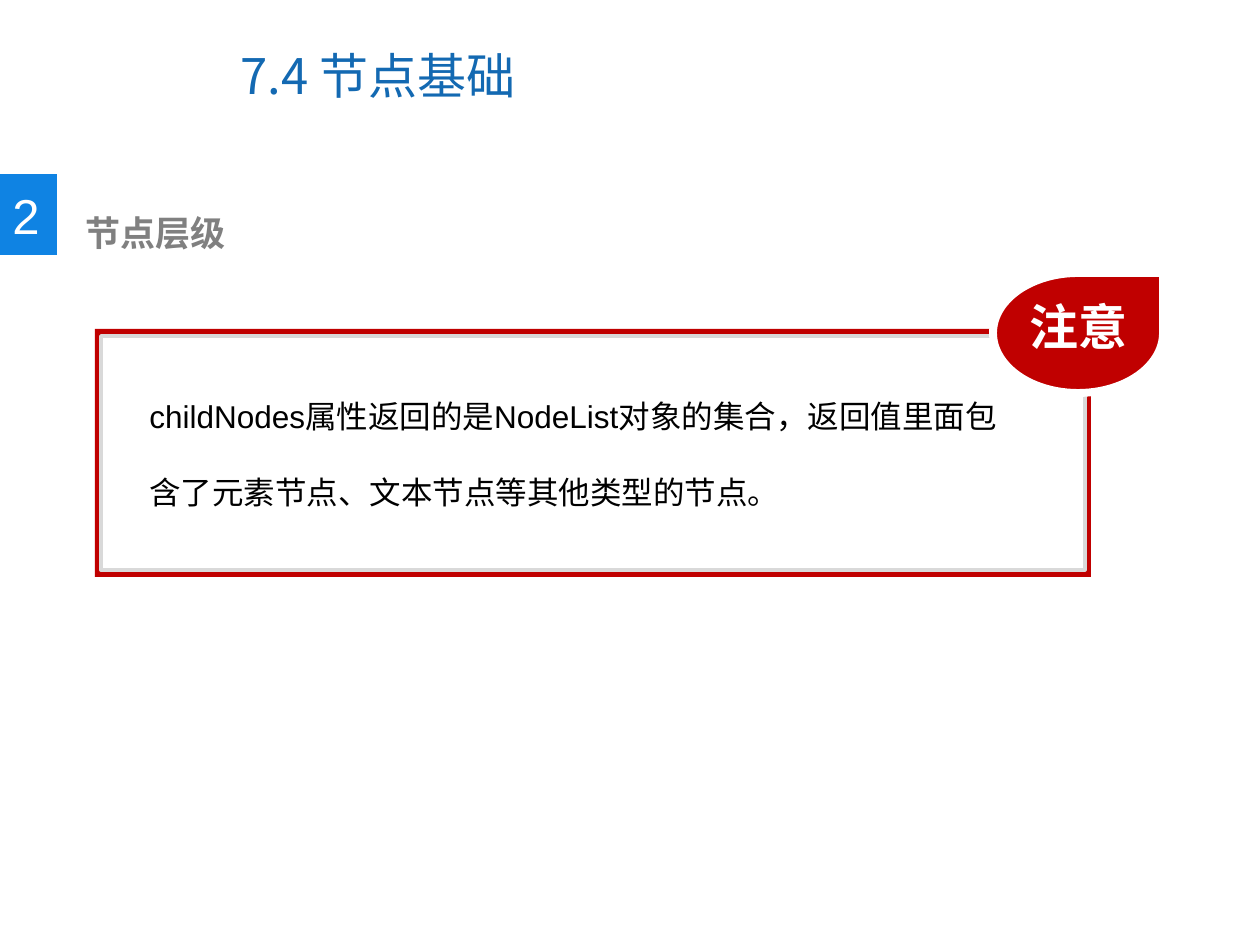
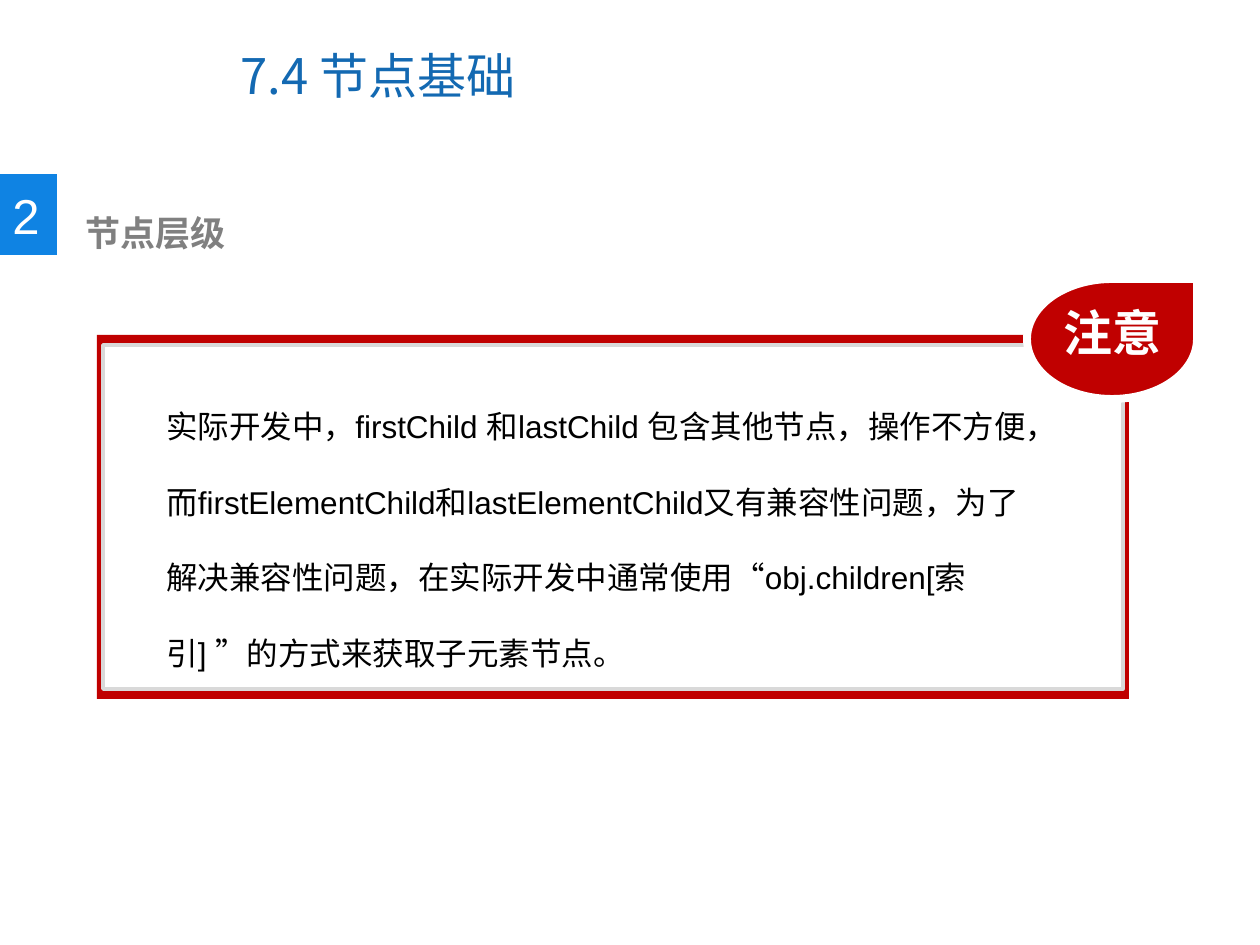
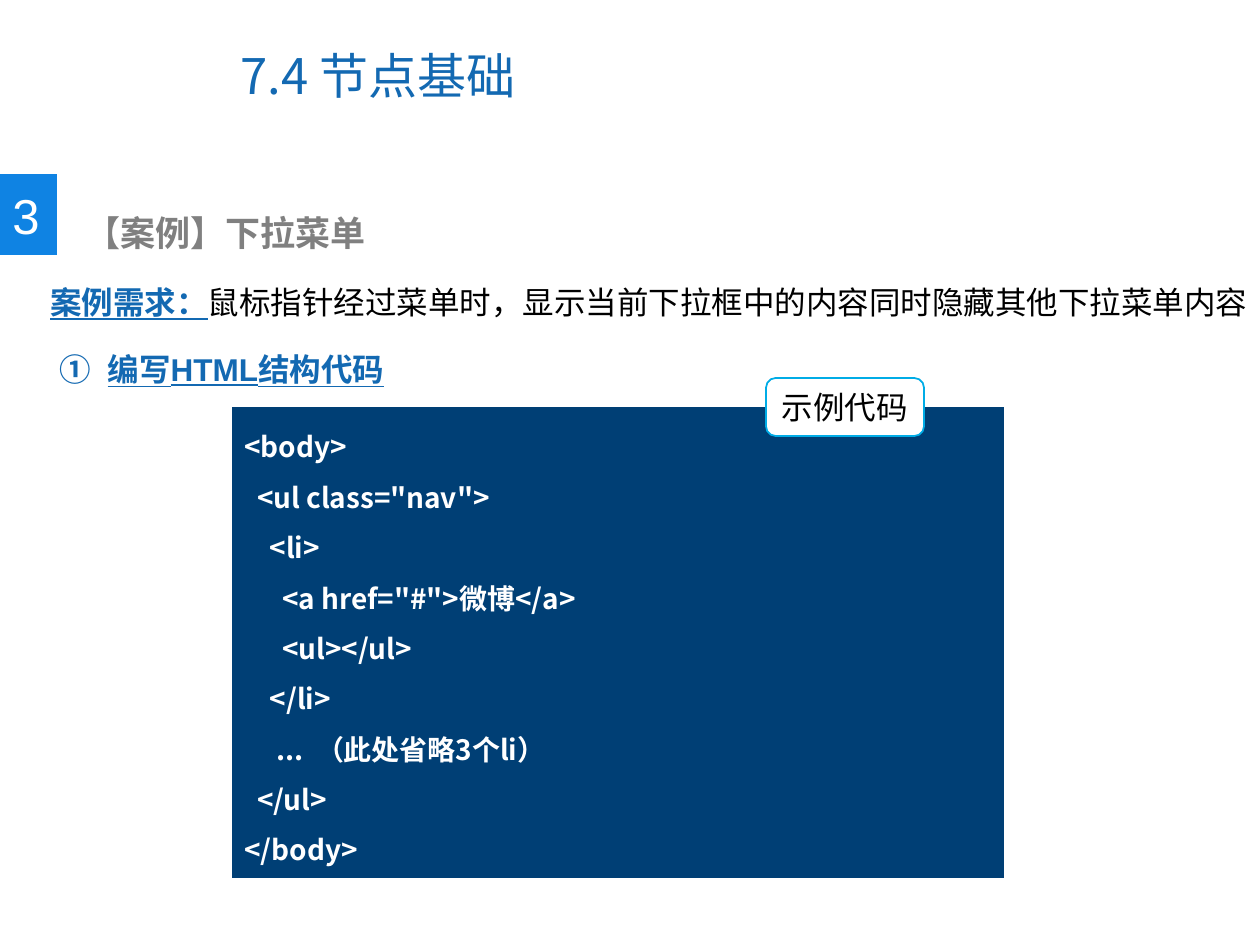
"""Build three slides on DOM node basics."""
from lxml.etree import SubElement
from pptx import Presentation
from pptx.dml.color import RGBColor
from pptx.enum.shapes import MSO_SHAPE as Shape
from pptx.enum.text import MSO_ANCHOR as Anchor, MSO_AUTO_SIZE as AutoSize, PP_ALIGN as Align
from pptx.oxml.ns import qn
from pptx.util import Emu, Pt

PX_PER_INCH = 126
CJK_FONT = "Noto Sans CJK SC"
LATIN_FONT = "Arial"
TITLE_ONLY, TITLE_AND_BODY = 5, 1
COLORS = {
    "title": "1369B2",
    "number": "0F83E3",
    "section": "808080",
    "notice": "C00000",
    "frame": "D9D9D9",
    "code": "003F75",
    "label": "00ACE6",
    "black": "000000",
    "white": "FFFFFF",
}
CODE_LINES = [
    '<body>',
    '  <ul class="nav">',
    '    <li>',
    '      <a href="#">微博</a>',
    '      <ul></ul>',
    '    </li>',
    '     ...  （此处省略3个li）',
    '  </ul>',
    '</body>',
]


def px(length):
    """Turn pixels into EMU."""
    return Emu(round(length * 914400 / PX_PER_INCH))


def color(name):
    """Look up a named colour."""
    return RGBColor.from_string(COLORS[name])


def place(shape, box):
    """Move and size a shape to a pixel box."""
    shape.left, shape.top, shape.width, shape.height = map(px, box)


def add_run(paragraph, text, size, color_name, bold=False, underline=False, font=LATIN_FONT):
    """Add one formatted run to a paragraph."""
    run = paragraph.add_run()
    run.text = text
    run.font.size = Pt(size)
    run.font.bold = bold
    run.font.underline = underline
    run.font.color.rgb = color(color_name)
    run.font.name = font
    SubElement(run.font._element, qn("a:ea"), typeface=CJK_FONT)


def set_up_frame(shape, anchor=Anchor.TOP, wrap=True):
    """Prepare a text frame and return its first paragraph."""
    frame = shape.text_frame
    frame.auto_size = AutoSize.NONE
    frame.word_wrap = wrap
    frame.vertical_anchor = anchor
    paragraph = frame.paragraphs[0]
    paragraph.alignment = Align.LEFT
    paragraph.space_before = Pt(0)
    return paragraph


def add_text(slide, box, wrap=True, spacing=1.0):
    """Add a text box and return its first paragraph."""
    paragraph = set_up_frame(slide.shapes.add_textbox(*map(px, box)), wrap=wrap)
    paragraph.line_spacing = spacing
    return paragraph


def add_block(slide, kind, box, fill, line=None, line_width=1):
    """Add a filled preset shape with an optional outline."""
    shape = slide.shapes.add_shape(kind, *map(px, box))
    shape.shadow.inherit = False
    shape.fill.solid()
    shape.fill.fore_color.rgb = color(fill)
    if line:
        shape.line.color.rgb = color(line)
        shape.line.width = Pt(line_width)
    else:
        shape.line.fill.background()
    return shape


def add_section_slide(presentation, number, section, layout=TITLE_ONLY):
    """Add a slide with the chapter title, section number and section name."""
    slide = presentation.slides.add_slide(presentation.slide_layouts[layout])
    title = slide.shapes.title
    place(title, (228, 21, 650, 107))
    add_run(set_up_frame(title, Anchor.MIDDLE), "7.4 节点基础", 28, "title", font=CJK_FONT)
    add_block(slide, Shape.RECTANGLE, (0, 174, 57, 81), "number")
    add_run(add_text(slide, (0, 179, 53, 72), wrap=False), number, 28, "white")
    add_run(add_text(slide, (73, 205, 634, 55)), section, 20, "section", bold=True)
    return slide


def add_notice(slide, box, border, badge, text_box, text):
    """Add a framed notice with a teardrop badge."""
    left, top, width, height = box
    side, edge = border
    inner = (left + side, top + edge, width - 2 * side, height - 2 * edge)
    add_block(slide, Shape.RECTANGLE, box, "notice")
    add_block(slide, Shape.RECTANGLE, inner, "white", "frame", 2)
    x, y = badge
    add_block(slide, Shape.TEAR, (x, y, 170, 120), "notice", "white", 4.5)
    label = add_text(slide, (x + 24, y + 17, 125, 72), wrap=False)
    add_run(label, "注意", 28, "white", bold=True, font=CJK_FONT)
    add_run(add_text(slide, text_box, spacing=2.0), text, 18, "black")


def add_code(slide, box, lines):
    """Add a dark panel of code lines."""
    panel = add_block(slide, Shape.RECTANGLE, box, "code")
    paragraph = set_up_frame(panel)
    for index, line in enumerate(lines):
        if index:
            paragraph = panel.text_frame.add_paragraph()
            paragraph.alignment = Align.LEFT
        paragraph.line_spacing = 1.5
        add_run(paragraph, line, 16, "white", bold=True, font=CJK_FONT)


def add_code_label(slide, box, text):
    """Add a rounded label for a code panel."""
    label = add_block(slide, Shape.ROUNDED_RECTANGLE, box, "white", "label")
    paragraph = set_up_frame(label, Anchor.MIDDLE, wrap=False)
    paragraph.alignment = Align.CENTER
    add_run(paragraph, text, 18, "black")


def fill_step(slide, box, text):
    """Put a circled numbered step in the body placeholder."""
    body = slide.placeholders[1]
    place(body, box)
    paragraph = set_up_frame(body)
    paragraph.line_spacing = 2.0
    properties = paragraph._p.get_or_add_pPr()
    properties.set("marL", str(px(48)))
    properties.set("indent", str(-px(48)))
    SubElement(properties, qn("a:buFont"), typeface=LATIN_FONT)
    SubElement(properties, qn("a:buAutoNum"), type="circleNumDbPlain")
    add_run(paragraph, text, 18, "title", bold=True, underline=True)


def main():
    """Build and save the presentation."""
    presentation = Presentation()
    presentation.slide_width, presentation.slide_height = px(1260), px(945)

    slide = add_section_slide(presentation, "2", "节点层级")
    add_notice(slide, (95, 329, 996, 248), (6, 7), (993, 273), (137, 353, 881, 165),
               "childNodes属性返回的是NodeList对象的集合，返回值里面包含了元素节点、"
               "文本节点等其他类型的节点。")

    slide = add_section_slide(presentation, "2", "节点层级")
    add_notice(slide, (97, 335, 1032, 364), (6, 10), (1027, 279), (154, 363, 908, 318),
               "实际开发中，firstChild 和lastChild 包含其他节点，操作不方便，"
               "而firstElementChild和lastElementChild又有兼容性问题，为了解决兼容性问题，"
               "在实际开发中通常使用“obj.children[索引] ”的方式来获取子元素节点。")

    slide = add_section_slide(presentation, "3", "【案例】下拉菜单", TITLE_AND_BODY)
    add_code(slide, (232, 407, 772, 471), CODE_LINES)
    add_code_label(slide, (766, 378, 158, 58), "示例代码")
    demand = add_text(slide, (38, 239, 1244, 89), spacing=2.0)
    add_run(demand, "案例需求：", 18, "title", bold=True, underline=True)
    add_run(demand, "鼠标指针经过菜单时，显示当前下拉框中的内容同时隐藏其他下拉菜单内容", 18, "black")
    fill_step(slide, (47, 306, 1090, 77), "编写HTML结构代码")

    presentation.save("out.pptx")


if __name__ == "__main__":
    main()
